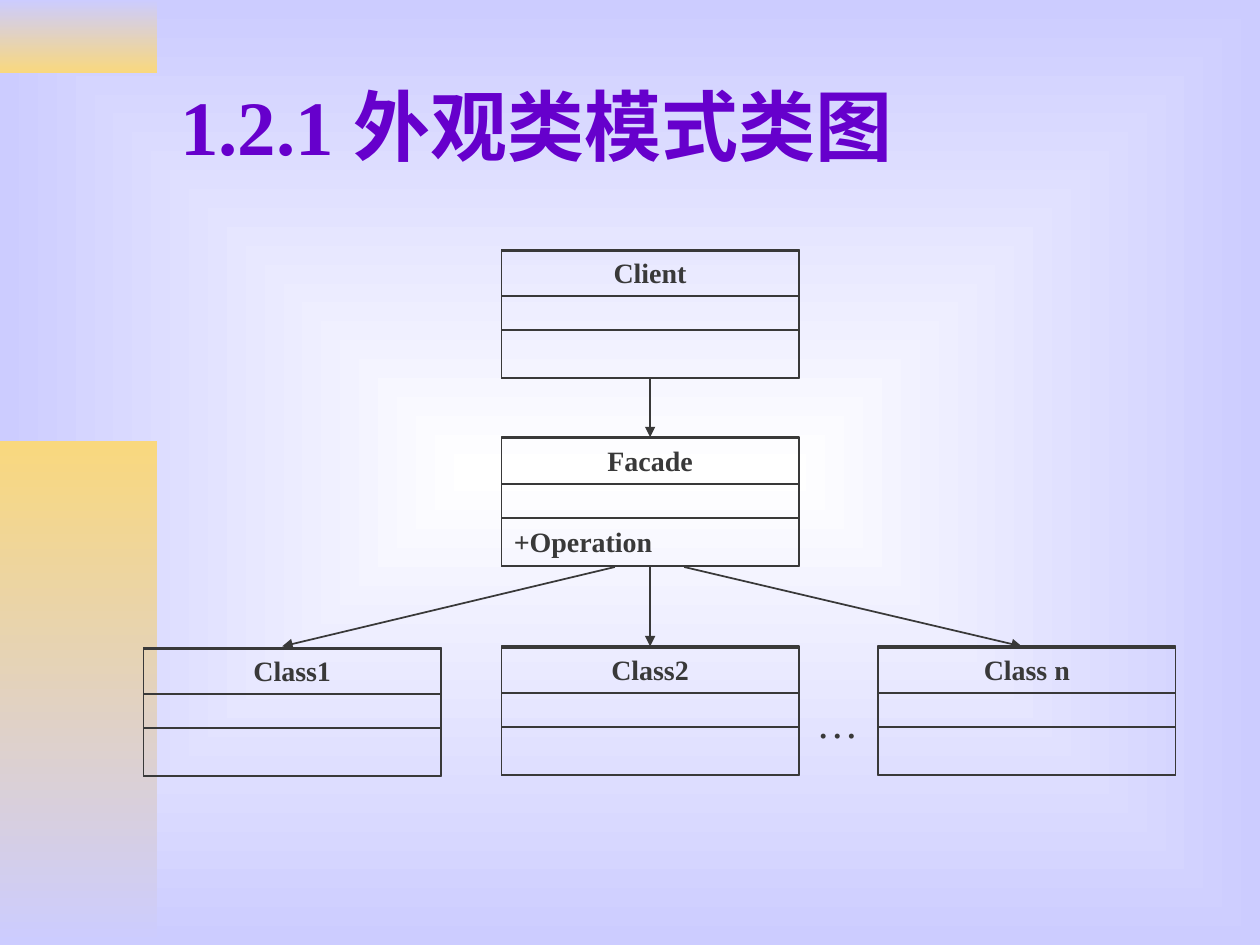
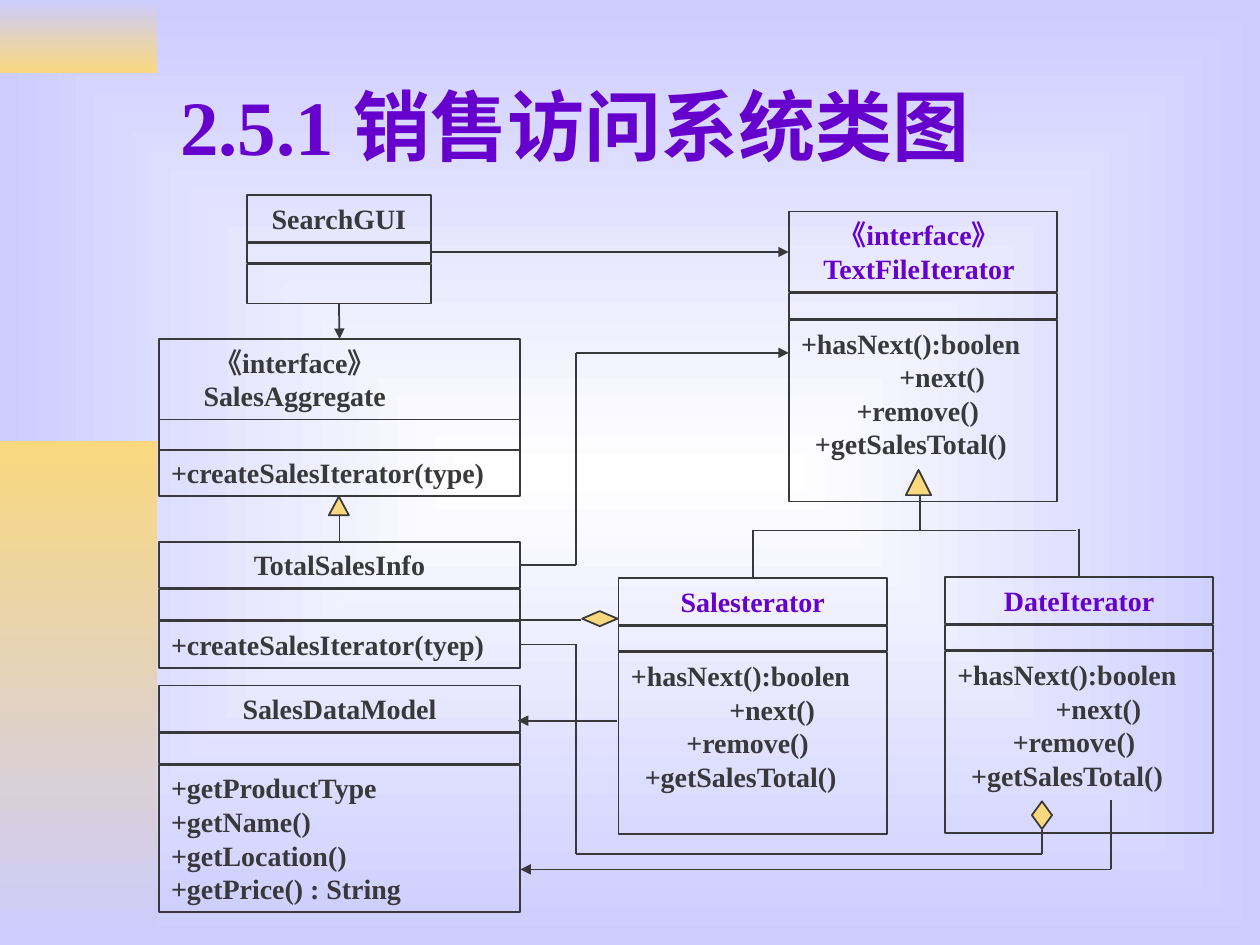
"""Builds two UML class diagram slides on a lilac background."""
from dataclasses import dataclass
from typing import Any, NamedTuple, Union

from lxml.etree import SubElement
from pptx import Presentation
from pptx.dml.color import RGBColor
from pptx.enum.shapes import MSO_CONNECTOR as CXN, MSO_SHAPE as SHAPE
from pptx.enum.text import MSO_ANCHOR as ANCHOR, MSO_AUTO_SIZE as FIT, PP_ALIGN as ALIGN
from pptx.oxml.ns import qn
from pptx.util import Inches, Pt

COLORS = {"ink": "393939", "title": "6600CC", "gold": "F9D87E", "lilac": "CCCCFF", "white": "FFFFFF"}
FONT = "Times New Roman"
WIDTH, HEIGHT = Inches(10), Inches(7.5)
COLUMNS, ROWS = 100, 75
TITLE_FONT = {"name": FONT, "size": Pt(44), "bold": True}
LABEL_FONT = {"name": FONT, "size": Pt(16), "bold": True}
DOTS_FONT = {"name": FONT, "size": Pt(24), "bold": False}
TOP_FRAME = {"word_wrap": True, "auto_size": FIT.NONE, "vertical_anchor": ANCHOR.TOP}
TITLE_FRAME = {**TOP_FRAME, "vertical_anchor": ANCHOR.MIDDLE}
TOP, LEFT, BOTTOM, RIGHT = range(4)


class Area(NamedTuple):
    """A rectangle in grid columns and rows."""
    col: float
    row: float
    width: float
    height: float


class Line(NamedTuple):
    """A line of text with indents in grid columns."""
    text: str
    left: float = 0
    right: float = 0


class Point(NamedTuple):
    """A place on the grid."""
    col: float
    row: float


class Joint(NamedTuple):
    """The middle of one side of a class box compartment."""
    box: str
    cell: str
    side: int


@dataclass(frozen=True)
class ClassBox:
    """A class with name, attribute and operation compartments."""
    key: str
    col: float
    row: float
    width: float
    name: tuple[Line, ...]
    operations: tuple[Line, ...] = ()
    name_rows: float = 3.7
    field_rows: float = 2.4
    op_rows: float = 3.7
    seam: float = 0.1
    color: str = "ink"
    framed: bool = False

    def areas(self) -> dict[str, Area]:
        """Return the compartments from back to front."""
        field_row = self.row + self.name_rows + self.seam
        op_row = field_row + self.field_rows + self.seam
        fields = Area(self.col, field_row, self.width, self.field_rows)
        if self.framed:
            fields = Area(self.col, self.row + 0.1, self.width, 10.1)
        return {"fields": fields,
                "name": Area(self.col, self.row, self.width, self.name_rows),
                "operations": Area(self.col, op_row, self.width, self.op_rows)}


@dataclass(frozen=True)
class Link:
    """A straight line between two ends."""
    start: Union[Point, Joint]
    end: Union[Point, Joint]
    arrow: bool = False


class Marker(NamedTuple):
    """A gold inheritance or aggregation symbol."""
    kind: Any
    area: Area


class Diagram(NamedTuple):
    """The content of one slide."""
    title: str
    boxes: list[ClassBox]
    links: list[Link]
    markers: list[Marker]


def x(col: float) -> int:
    """Convert columns to a length."""
    return round(WIDTH * col / COLUMNS)


def y(row: float) -> int:
    """Convert rows to a length."""
    return round(HEIGHT * row / ROWS)


def place(area: Area) -> tuple[int, int, int, int]:
    """Convert a grid area to lengths."""
    return x(area.col), y(area.row), x(area.width), y(area.height)


def rgb(name: str) -> RGBColor:
    """Look up a colour."""
    return RGBColor.from_string(COLORS[name])


def apply(target: Any, values: dict[str, Any]) -> None:
    """Set every given attribute on the target."""
    for key, value in values.items():
        setattr(target, key, value)


def set_gradient(fill: Any, first: str, last: str) -> None:
    """Give a fill a downward gradient of two colours."""
    fill.gradient()
    fill.gradient_angle = 270
    for stop, color in zip(fill.gradient_stops, (first, last)):
        stop.color.rgb = rgb(color)


def write(tf: Any, lines: tuple[Line, ...], frame: dict, font: dict, color: str, align: Any) -> None:
    """Fill a text frame, one paragraph per line."""
    apply(tf, frame)
    for i, line in enumerate(lines):
        p = tf.add_paragraph() if i else tf.paragraphs[0]
        p.alignment = align
        pPr = p._p.get_or_add_pPr()
        for key, indent in (("marL", line.left), ("marR", line.right)):
            if indent:
                pPr.set(key, str(x(indent)))
        r = p.add_run()
        r.text = line.text
        apply(r.font, font)
        r.font.color.rgb = rgb(color)


def add_outline(s: Any, kind: Any, area: Area, fill: str = "") -> Any:
    """Draw a thinly outlined shape, hollow unless a fill is named."""
    sp = s.shapes.add_shape(kind, *place(area))
    sp.shadow.inherit = False
    sp.line.color.rgb = rgb("ink")
    sp.line.width = Pt(1)
    if fill:
        sp.fill.solid()
        sp.fill.fore_color.rgb = rgb(fill)
    else:
        sp.fill.background()
    return sp


def add_box(s: Any, box: ClassBox) -> dict[str, Any]:
    """Draw a class box and return its compartments."""
    cells = {cell: add_outline(s, SHAPE.RECTANGLE, area) for cell, area in box.areas().items()}
    write(cells["name"].text_frame, box.name, TOP_FRAME, LABEL_FONT, box.color, ALIGN.CENTER)
    write(cells["operations"].text_frame, box.operations, TOP_FRAME, LABEL_FONT, "ink", ALIGN.LEFT)
    return cells


def add_link(s: Any, link: Link, boxes: dict[str, dict[str, Any]]) -> None:
    """Draw a connector and join it to compartments."""
    ends = [(0, 0) if isinstance(end, Joint) else (x(end.col), y(end.row))
            for end in (link.start, link.end)]
    cxn = s.shapes.add_connector(CXN.STRAIGHT, *ends[0], *ends[1])
    for end, connect in ((link.start, cxn.begin_connect), (link.end, cxn.end_connect)):
        if isinstance(end, Joint):
            connect(boxes[end.box][end.cell], end.side)
    cxn.line.color.rgb = rgb("ink")
    cxn.line.width = Pt(1)
    if link.arrow:
        SubElement(cxn.line._get_or_add_ln(), qn("a:tailEnd"), type="triangle")
    SubElement(cxn._element.spPr, qn("a:effectLst"))


def set_background(prs: Any) -> None:
    """Give the master a gradient spreading from the centre."""
    master = prs.slide_master
    set_gradient(master.background.fill, "white", "lilac")
    grad = master.element.find(".//" + qn("a:gradFill"))
    grad.remove(grad.find(qn("a:lin")))
    spread = SubElement(grad, qn("a:path"), {"path": "rect"})
    SubElement(spread, qn("a:fillToRect"), dict.fromkeys("ltrb", "50000"))


def add_diagram(prs: Any, diagram: Diagram) -> Any:
    """Add a slide with title, bands and class diagram."""
    s = prs.slides.add_slide(prs.slide_layouts[5])
    for area, first, last in ((Area(0, 0, 12.5, 5.8), "lilac", "gold"), (Area(0, 35, 12.5, 40), "gold", "lilac")):
        sp = s.shapes.add_shape(SHAPE.RECTANGLE, *place(area))
        sp.shadow.inherit = False
        sp.line.fill.background()
        set_gradient(sp.fill, first, last)
    title = s.shapes.title
    apply(title, dict(zip(("left", "top", "width", "height"), place(Area(13.3, 3.3, 85, 13.2)))))
    write(title.text_frame, (Line(diagram.title),), TITLE_FRAME, TITLE_FONT, "title", ALIGN.LEFT)
    boxes = {box.key: add_box(s, box) for box in diagram.boxes}
    for marker in diagram.markers:
        add_outline(s, marker.kind, marker.area, "gold")
    for link in diagram.links:
        add_link(s, link, boxes)
    return s


def facade_box(name: str, col: float, row: float, *operations: Line) -> ClassBox:
    """Describe a framed box of the facade diagram."""
    return ClassBox(name, col, row, 23.6, (Line(name),), operations,
                    field_rows=2.7, op_rows=3.8, seam=0, framed=True)


def iterator_box(key: str, col: float, row: float, *name: Line, name_rows: float = 3.7) -> ClassBox:
    """Describe a box with the iterator operations."""
    operations = (Line("+hasNext():boolen"), Line("+next()", 7.8),
                  Line("+remove()", 4.4), Line("+getSalesTotal()", 1.1))
    return ClassBox(key, col, row, 21.3, name or (Line(key),), operations, name_rows,
                    field_rows=2, op_rows=14.4, color="title")


FACADE = Diagram(
    "1.2.1 外观类模式类图",
    [facade_box("Client", 39.8, 19.8),
     facade_box("Facade", 39.8, 34.7, Line("+Operation")),
     facade_box("Class1", 11.4, 51.4),
     facade_box("Class2", 39.8, 51.3),
     facade_box("Class n", 69.7, 51.3)],
    [Link(Joint("Client", "fields", BOTTOM), Joint("Facade", "name", TOP), True),
     Link(Point(48.8, 45), Point(22.4, 51.3), True),
     Link(Joint("Facade", "fields", BOTTOM), Joint("Class2", "name", TOP), True),
     Link(Point(54.3, 45), Point(81.1, 51.3), True)],
    [])

SALES = Diagram(
    "2.5.1 销售访问系统类图",
    [ClassBox("SearchGUI", 19.6, 15.5, 14.6, (Line("SearchGUI"),), field_rows=1.6, op_rows=3.1),
     ClassBox("SalesAggregate", 12.6, 26.9, 28.7, (Line("《interface》", right=7.1), Line("SalesAggregate")),
              (Line("+createSalesIterator(type)"),), name_rows=6.4, seam=0),
     ClassBox("TotalSalesInfo", 12.6, 43, 28.7, (Line("TotalSalesInfo"),),
              (Line("+createSalesIterator(tyep)"),)),
     ClassBox("SalesDataModel", 12.6, 54.4, 28.7, (Line("SalesDataModel"),),
              (Line("+getProductType"), Line("+getName()"), Line("+getLocation()"),
               Line("+getPrice() : String")), op_rows=11.7),
     iterator_box("TextFileIterator", 62.6, 16.8, Line("《interface》", right=0.6),
                  Line("TextFileIterator"), name_rows=6.4),
     iterator_box("Salesterator", 49.1, 45.9),
     iterator_box("DateIterator", 75, 45.8)],
    [Link(Joint("SearchGUI", "operations", BOTTOM), Joint("SalesAggregate", "name", TOP), True),
     Link(Point(34.3, 20), Joint("TextFileIterator", "name", LEFT), True),
     Link(Point(26.95, 40.8), Joint("TotalSalesInfo", "name", TOP)),
     Link(Joint("TotalSalesInfo", "name", RIGHT), Point(45.7, 44.85)),
     Link(Point(45.7, 44.85), Point(45.7, 28)),
     Link(Point(45.7, 28), Point(62.6, 28), True),
     Link(Point(73, 39.3), Point(73, 42.1)),
     Link(Point(59.75, 42.1), Point(85.4, 42.1)),
     Link(Point(59.75, 42.1), Joint("Salesterator", "name", TOP)),
     Link(Point(85.65, 42), Joint("DateIterator", "name", TOP)),
     Link(Point(41.3, 49.2), Point(46.1, 49.2)),
     Link(Point(49, 57.2), Point(41.1, 57.2), True),
     Link(Joint("TotalSalesInfo", "operations", RIGHT), Point(45.7, 51.15)),
     Link(Point(45.7, 51.15), Point(45.7, 67.8)),
     Link(Point(45.7, 67.8), Point(82.7, 67.8)),
     Link(Point(82.7, 67.8), Point(82.7, 65.9)),
     Link(Point(88.2, 63.5), Point(88.2, 69)),
     Link(Point(88.2, 69), Point(41.3, 69), True)],
    [Marker(SHAPE.ISOSCELES_TRIANGLE, Area(26.1, 39.4, 1.6, 1.5)),
     Marker(SHAPE.ISOSCELES_TRIANGLE, Area(71.9, 37.3, 2, 2)),
     Marker(SHAPE.FLOWCHART_DECISION, Area(46.2, 48.5, 2.8, 1.2)),
     Marker(SHAPE.FLOWCHART_DECISION, Area(81.9, 63.6, 1.6, 2.2))])


def main() -> None:
    """Build and save the presentation."""
    prs = Presentation()
    apply(prs, {"slide_width": WIDTH, "slide_height": HEIGHT})
    set_background(prs)
    s = add_diagram(prs, FACADE)
    dots = s.shapes.add_textbox(*place(Area(63.8, 54.8, 5.9, 5)))
    write(dots.text_frame, (Line("…"),), TOP_FRAME, DOTS_FONT, "ink", ALIGN.LEFT)
    add_diagram(prs, SALES)
    prs.save("out.pptx")


if __name__ == "__main__":
    main()
